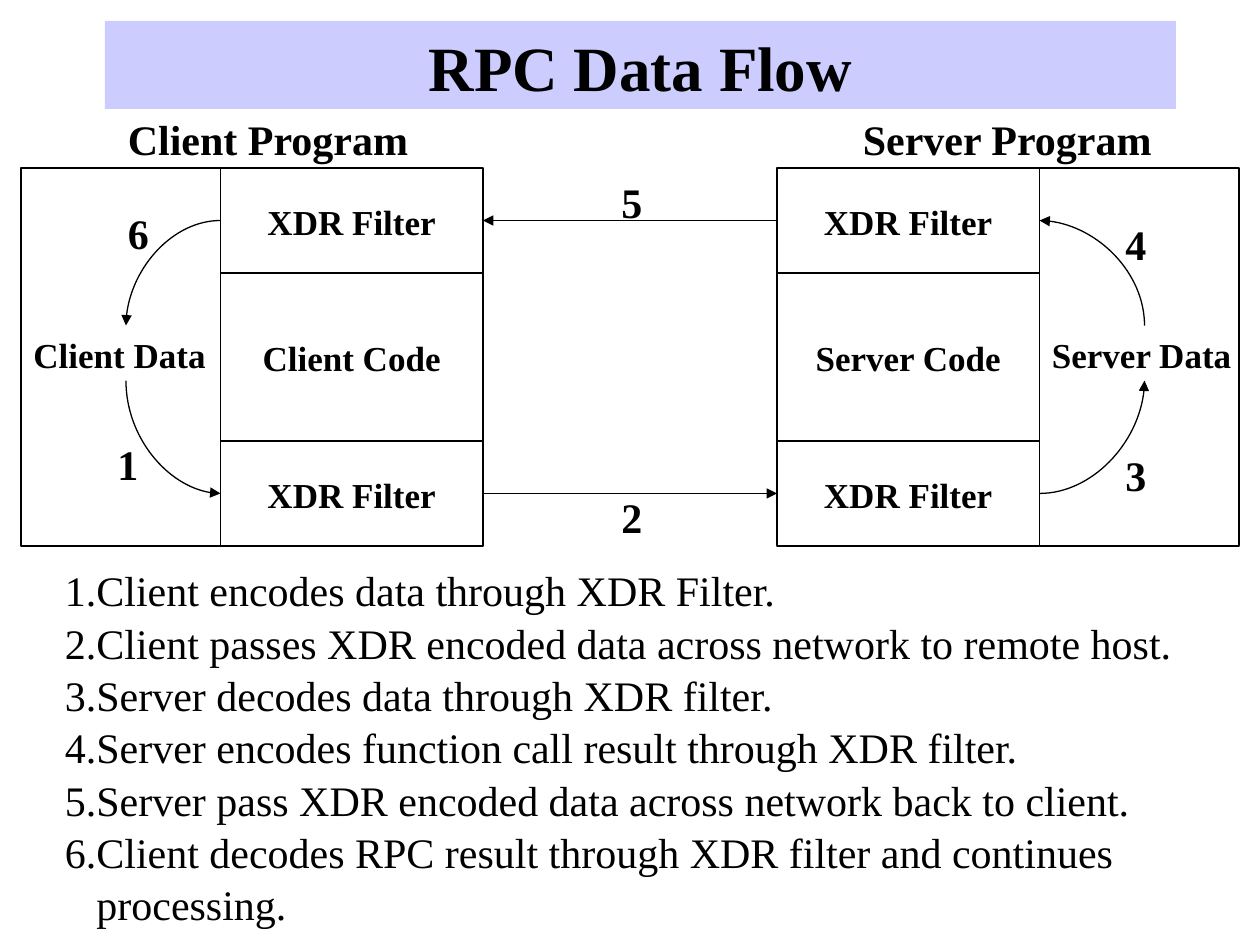
from lxml import etree
from pptx import Presentation
from pptx.dml.color import RGBColor
from pptx.enum.shapes import MSO_CONNECTOR, MSO_SHAPE
from pptx.enum.text import MSO_ANCHOR, PP_ALIGN
from pptx.oxml.ns import qn
from pptx.util import Emu, Pt

RECT = MSO_SHAPE.RECTANGLE
STRAIGHT, CURVE = MSO_CONNECTOR.STRAIGHT, MSO_CONNECTOR.CURVE
LEFT, CENTER = PP_ALIGN.LEFT, PP_ALIGN.CENTER
TOP, MIDDLE = MSO_ANCHOR.TOP, MSO_ANCHOR.MIDDLE


def px(n):
    """Convert px (96 to the inch) to EMU."""
    return Emu(n * 9525)


def color(hex_text):
    return RGBColor.from_string(hex_text)


class SlideBuilder:
    font = "Times New Roman"
    ink = "000000"
    line_width = Pt(0.75)
    line_spacing = 1.04

    def __init__(self, slide):
        self.slide = slide

    def set_text(self, sp, lines, size, bold=True, align=LEFT, anchor=TOP, hang=0):
        tf = sp.text_frame
        tf.word_wrap = True
        tf.vertical_anchor = anchor
        tf.text = "\n".join(lines)
        for p in tf.paragraphs:
            p.alignment = align
            p.line_spacing = self.line_spacing
            if hang:
                pPr = p._p.get_or_add_pPr()
                pPr.set("marL", str(px(hang)))
                pPr.set("indent", str(-px(hang)))
            for r in p.runs:
                r.font.name = self.font
                r.font.size = Pt(size)
                r.font.bold = bold
                r.font.color.rgb = color(self.ink)

    def box(self, x, y, w, h, text="", size=20, fill=None):
        """Add a filled box without outline, or an outlined box without fill."""
        sp = self.slide.shapes.add_shape(RECT, px(x), px(y), px(w), px(h))
        sp.shadow.inherit = False
        if fill:
            sp.fill.solid()
            sp.fill.fore_color.rgb = color(fill)
            sp.line.fill.background()
        else:
            sp.fill.background()
            sp.line.color.rgb = color(self.ink)
            sp.line.width = self.line_width
        if text:
            self.set_text(sp, [text], size, align=CENTER, anchor=MIDDLE)

    def label(self, x, y, w, h, lines, size=24, **style):
        sp = self.slide.shapes.add_textbox(px(x), px(y), px(w), px(h))
        self.set_text(sp, lines, size, **style)

    def arrow(self, kind, start, end, tip="tailEnd"):
        """Add a line with its arrowhead at end, or at start for headEnd."""
        cxn = self.slide.shapes.add_connector(
            kind, *(px(n) for n in (*start, *end)))
        cxn.line.color.rgb = color(self.ink)
        cxn.line.width = self.line_width
        spPr = cxn._element.spPr
        if kind == CURVE:
            spPr.find(qn("a:prstGeom")).set("prst", "curvedConnector2")
        etree.SubElement(spPr.find(qn("a:ln")), qn("a:" + tip), type="triangle")
        etree.SubElement(spPr, qn("a:effectLst"))


def main():
    prs = Presentation()
    prs.slide_width, prs.slide_height = px(960), px(720)
    s = SlideBuilder(prs.slides.add_slide(prs.slide_layouts[6]))

    top, filter_h, code_h, stack_w, data_w = 128, 80, 128, 200, 152
    stack_h = 2 * filter_h + code_h
    upper = top + filter_h // 2
    lower = top + stack_h - filter_h // 2
    data_top, data_bottom = 248, 290
    client_x, server_x = 168, 592
    client_end, server_end = client_x + stack_w, server_x + stack_w

    programs = [
        ("Client", client_x, client_x - data_w, 88),
        ("Server", server_x, server_end, 648),
    ]
    for name, stack_x, data_x, heading_x in programs:
        s.box(data_x, top, data_w, stack_h)
        y = top
        for text, h in (("XDR Filter", filter_h), (f"{name} Code", code_h),
                        ("XDR Filter", filter_h)):
            s.box(stack_x, y, stack_w, h, text)
            y += h
        s.label(data_x, data_top, 160, 42, [f"{name} Data"], size=20)
        s.label(heading_x, 80, 248, 48, [f"{name} Program"])

    # Curves run from a filter to the data; the tip sets the flow direction.
    arcs = [
        (client_x, upper, 96, data_top, "tailEnd"),
        (client_x, lower, 96, data_bottom, "headEnd"),
        (server_end, lower, 872, data_bottom, "tailEnd"),
        (server_end, upper, 872, data_top, "headEnd"),
    ]
    for filter_x, filter_y, data_x, data_y, tip in arcs:
        s.arrow(CURVE, (filter_x, filter_y), (data_x, data_y), tip)
    s.arrow(STRAIGHT, (client_end, lower), (server_x, lower))
    s.arrow(STRAIGHT, (server_x, upper), (client_end, upper))

    step_places = [(80, 328), (464, 368), (848, 336),
                   (848, 160), (464, 128), (88, 152)]
    for number, (x, y) in enumerate(step_places, 1):
        s.label(x, y, 56, 48, [str(number)])

    s.box(80, 16, 816, 67, "RPC Data Flow", size=36, fill="CCCCFF")
    steps = [
        "Client encodes data through XDR Filter.",
        "Client passes XDR encoded data across network to remote host.",
        "Server decodes data through XDR filter.",
        "Server encodes function call result through XDR filter.",
        "Server pass XDR encoded data across network back to client.",
        "Client decodes RPC result through XDR filter and continues processing.",
    ]
    s.label(40, 424, 880, 278,
            [f"{number}.{step}" for number, step in enumerate(steps, 1)],
            bold=False, hang=24)

    prs.save("out.pptx")


if __name__ == "__main__":
    main()
